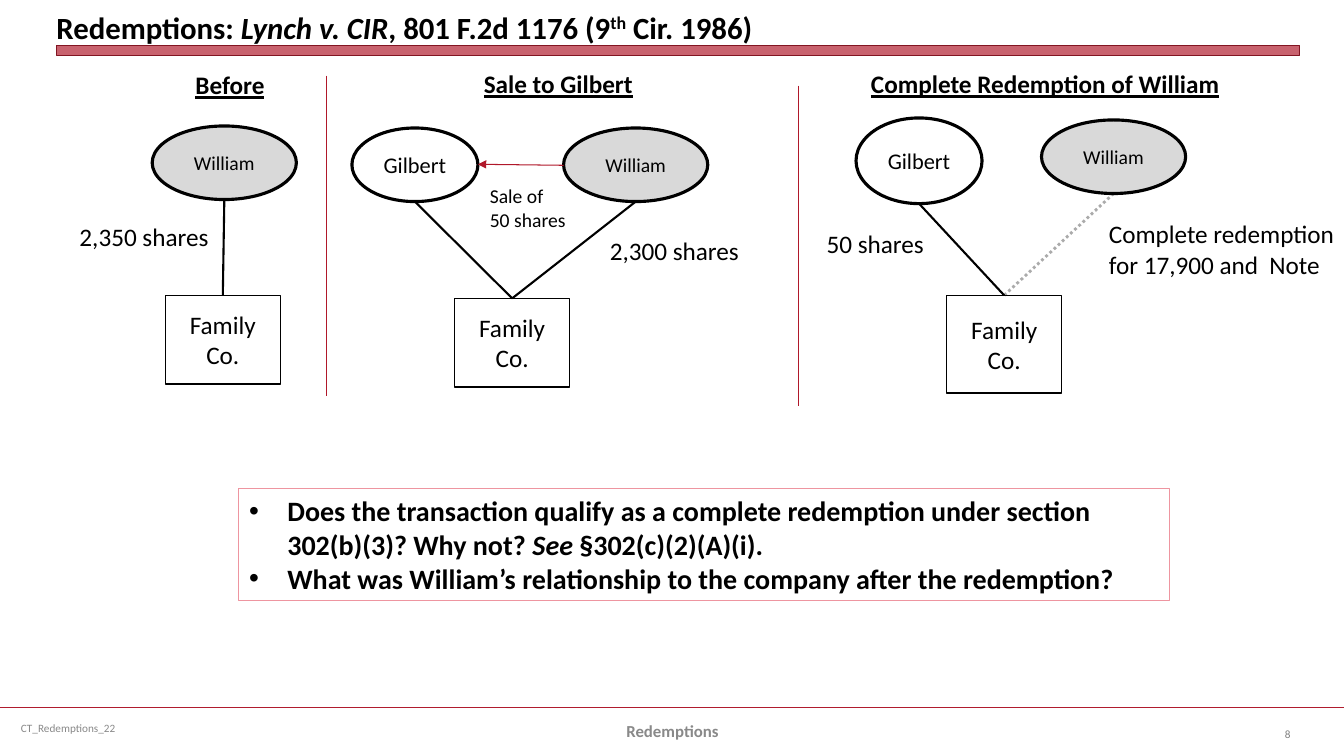
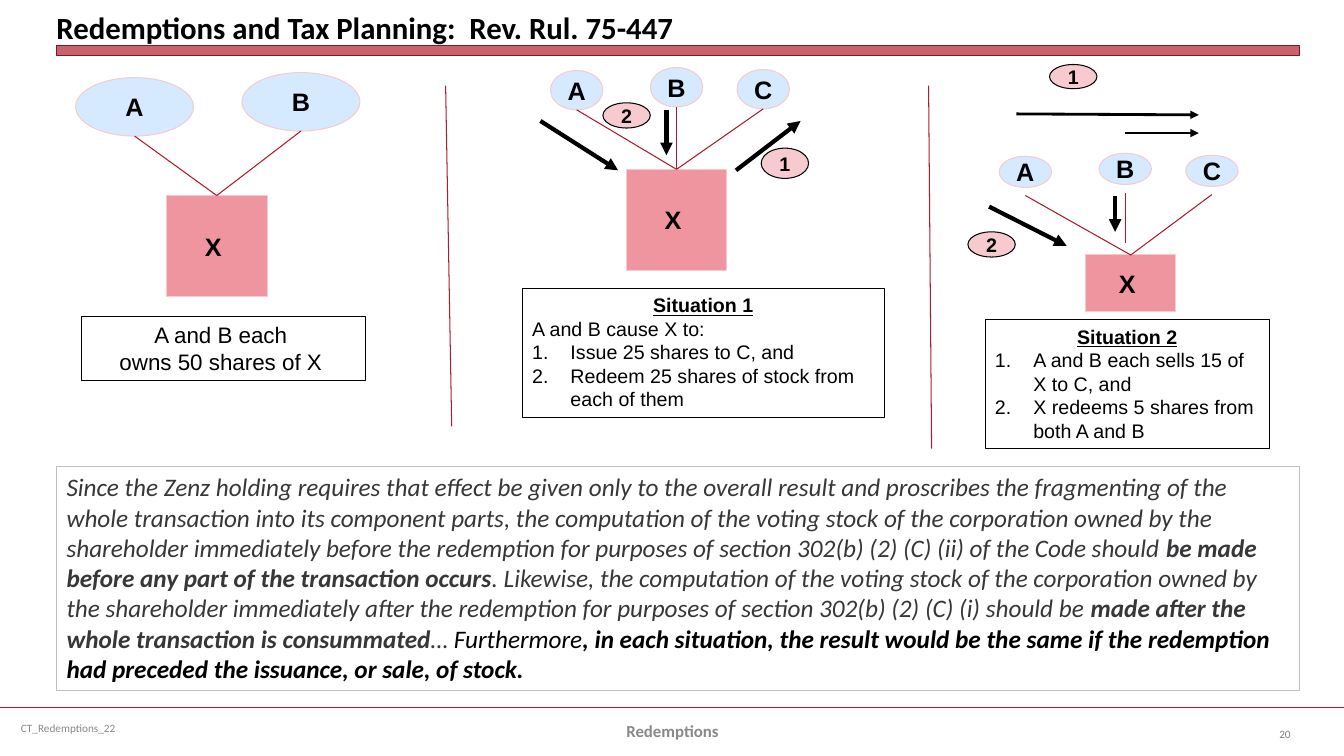
from dataclasses import dataclass

from lxml import etree
from pptx import Presentation
from pptx import util as u
from pptx.dml.color import RGBColor
from pptx.enum import dml, shapes, text
from pptx.oxml import ns

BLACK, GREY, RED, CRIMSON = "000000", "898989", "B0182A", "B01C2E"
ROSE, PINK, SKY, SILVER = "EE95A0", "F7CAD0", "D6EAFF", "D9D9D9"
LEFT, CENTER, RIGHT = text.PP_ALIGN.LEFT, text.PP_ALIGN.CENTER, text.PP_ALIGN.RIGHT
TOP, MIDDLE, BOTTOM = text.MSO_ANCHOR.TOP, text.MSO_ANCHOR.MIDDLE, text.MSO_ANCHOR.BOTTOM
RECT, OVAL = shapes.MSO_SHAPE.RECTANGLE, shapes.MSO_SHAPE.OVAL
BOLD, ITALIC = {"bold": True}, {"italic": True}


def rgb(value):
    """Turn a hex string into a colour."""
    return RGBColor.from_string(value)


def child(parent, tag, **attributes):
    """Append a drawing element."""
    return etree.SubElement(parent, ns.qn(tag), **attributes)


def fade(item, percent):
    """Make the first colour of a shape or line partly transparent."""
    color = next(item._element.spPr.iter(ns.qn("a:srgbClr")))
    child(color, "a:alpha", val=str(percent * 1000))


def place(box, at):
    """Move and size a box, in inches."""
    box.left, box.top, box.width, box.height = map(u.Inches, at)


def bottom(box, gap=0):
    """Return the point below the middle of a box, in inches."""
    x = u.Length(box.left + box.width // 2).inches
    return x, u.Length(box.top + box.height).inches + gap


@dataclass
class Para:
    """A paragraph: plain words, or (words, style) spans."""
    spans: object
    align: object = LEFT
    mark: str = ""
    bold: bool = False
    italic: bool = False
    underline: bool = False


class Deck:
    """Holds the house style and the current page."""

    def __init__(self):
        """Start an empty wide deck."""
        self.show = Presentation()
        self.show.slide_width = u.Inches(13.33)
        self.show.slide_height = u.Inches(7.5)
        self.page = None

    def start(self, title, number):
        """Add a page with its title, bar and footer."""
        self.page = self.show.slides.add_slide(self.show.slide_layouts[1])
        self.line((0, 7.02), (13.33, 7.02), CRIMSON, 1.25)
        bar = self.shape(RECT, (0.56, 0.45, 12.33, 0.1), CRIMSON, "821522", 0)
        fade(bar, 69)
        heading = self.page.shapes.title
        place(heading, (0.56, 0.05, 12.33, 0.4))
        frame = heading.text_frame
        frame.margin_left = frame.margin_right = frame.margin_top = frame.margin_bottom = 0
        self.typeset(frame, [Para(title, bold=True)], 22, anchor=BOTTOM)
        self.label((0.11, 7.02, 3.44, 0.4), ["CT_Redemptions_22"], 8, GREY, MIDDLE, True)
        self.label((4.56, 7.05, 4.22, 0.4), [Para("Redemptions", CENTER, bold=True)],
                   12, GREY, MIDDLE, True)
        self.label((12.23, 7.08, 0.67, 0.4), [Para(number, RIGHT)], 8, "808080", MIDDLE, True)

    def typeset(self, frame, paras, size, font="Calibri", color=BLACK, anchor=TOP, wrap=True):
        """Fill a text frame with paragraphs."""
        frame.word_wrap = wrap
        frame.auto_size = text.MSO_AUTO_SIZE.NONE
        frame.vertical_anchor = anchor
        for index, item in enumerate(paras):
            item = Para(item) if isinstance(item, str) else item
            para = frame.add_paragraph() if index else frame.paragraphs[0]
            self.mark(para, item.mark)
            para.alignment = item.align
            para.space_before = u.Pt(0)
            para.font.name, para.font.size = font, u.Pt(size)
            para.font.color.rgb = rgb(color)
            para.font.bold, para.font.italic = item.bold, item.italic
            para.font.underline = item.underline
            spans = [(item.spans, {})] if isinstance(item.spans, str) else item.spans
            for words, style in spans:
                self.span(para, words, **style)

    def mark(self, para, mark):
        """Give a paragraph a bullet, a number or neither."""
        props = para._p.get_or_add_pPr()
        hang = u.Inches(0.38) if mark else 0
        props.set("marL", str(hang))
        props.set("indent", str(-hang))
        if mark == "1.":
            child(props, "a:buFont", typeface="+mj-lt")
            child(props, "a:buAutoNum", type="arabicPeriod")
        elif mark:
            child(props, "a:buFont", typeface="Arial")
            child(props, "a:buChar", char=mark)
        else:
            child(props, "a:buNone")

    def span(self, para, words, color=None, raised=False, **style):
        """Add a run that differs from its paragraph only by style."""
        span = para.add_run()
        span.text = words
        for name, value in style.items():
            setattr(span.font, name, value)
        if color:
            span.font.color.rgb = rgb(color)
        if raised:
            span._r.get_or_add_rPr().set("baseline", "30000")

    def label(self, at, paras, size=18, color=BLACK, anchor=TOP, wrap=False):
        """Add free text."""
        box = self.page.shapes.add_textbox(*map(u.Inches, at))
        self.typeset(box.text_frame, paras, size, color=color, anchor=anchor, wrap=wrap)

    def heading(self, at, words):
        """Add an underlined heading above a diagram."""
        self.label(at, [Para(words, bold=True, underline=True)])

    def body(self, at, paras, size, line, color=BLACK):
        """Fill the framed body placeholder."""
        box = self.page.placeholders[1]
        place(box, at)
        box.line.color.rgb = rgb(line)
        box.line.width = u.Pt(0.75)
        self.typeset(box.text_frame, paras, size, color=color)

    def shape(self, kind, at, fill=None, line=BLACK, width=0.75):
        """Add a preset shape."""
        box = self.page.shapes.add_shape(kind, *map(u.Inches, at))
        box.shadow.inherit = False
        if fill:
            box.fill.solid()
            box.fill.fore_color.rgb = rgb(fill)
        else:
            box.fill.background()
        box.line.color.rgb = rgb(line)
        box.line.width = u.Pt(width)
        return box

    def note(self, at, paras, size):
        """Add a framed note."""
        box = self.shape(RECT, at)
        self.typeset(box.text_frame, paras, size, "Arial")

    def person(self, name, at, fill=None, size=14):
        """Add a named shareholder."""
        box = self.shape(OVAL, at, fill, width=2.25)
        self.typeset(box.text_frame, [Para(name, CENTER)], size, anchor=MIDDLE, wrap=False)
        return box

    def company(self, at):
        """Add the family company."""
        box = self.shape(RECT, at, width=1)
        self.typeset(box.text_frame, [Para("Family Co.", CENTER)], 18, anchor=MIDDLE)
        return box

    def letter(self, kind, name, at, fill, line=PINK, size=18):
        """Add a shape with a bold letter or digit."""
        box = self.shape(kind, at, fill, line)
        self.typeset(box.text_frame, [Para(name, CENTER, bold=True)], size, "Arial",
                     anchor=MIDDLE, wrap=False)
        return box

    def holder(self, name, at):
        """Add a lettered shareholder."""
        return self.letter(OVAL, name, at, SKY)

    def issuer(self, at):
        """Add corporation X."""
        return self.letter(RECT, "X ", at, ROSE)

    def step(self, name, at):
        """Add a step number."""
        self.letter(OVAL, name, at, PINK, BLACK, 14)

    def line(self, start, end, color=RED, width=0.75, arrow=False):
        """Add a straight line or arrow."""
        points = map(u.Inches, (*start, *end))
        line = self.page.shapes.add_connector(shapes.MSO_CONNECTOR.STRAIGHT, *points)
        line.line.color.rgb = rgb(color)
        line.line.width = u.Pt(width)
        if arrow:
            child(line.line._get_or_add_ln(), "a:tailEnd", type="triangle")
        child(line._element.spPr, "a:effectLst")
        return line

    def link(self, owner, company, color=RED, width=0.75, gap=0):
        """Join the foot of an owner to the top of its company."""
        line = self.line(bottom(owner, gap), bottom(owner, gap), color, width)
        line.end_connect(company, 0)
        return line


def lynch_page(deck):
    """Build the three stages of the family redemption."""
    deck.start([("Redemptions: ", {}), ("Lynch v. CIR", ITALIC), (", 801 F.2d 1176 (9", {}),
                ("th", {"raised": True}), (" Cir. 1986)", {})], "8")
    deck.heading((1.84, 0.64, 0.89, 0.4), "Before")
    deck.heading((4.7, 0.63, 1.69, 0.4), "Sale to Gilbert")
    deck.heading((8.54, 0.63, 3.69, 0.4), "Complete Redemption of William")
    deck.line((3.24, 0.75), (3.24, 3.93))
    deck.line((7.92, 0.85), (7.92, 4.03))

    before, sale, after = [deck.company(at) for at in (
        (1.64, 2.93, 1.14, 0.88), (4.51, 2.96, 1.14, 0.88), (9.39, 2.93, 1.14, 0.97))]
    first, seller, leaver = [deck.person("William", (x, y, 1.43, 0.73), SILVER)
                             for x, y in ((1.51, 1.25), (5.59, 1.27), (10.33, 1.19))]
    buyer, keeper = [deck.person("Gilbert", (x, y, 1.25, height), size=16)
                     for x, y, height in ((3.49, 1.27, 0.73), (8.49, 1.17, 0.85))]
    for owner, company in ((first, before), (buyer, sale), (seller, sale), (keeper, after)):
        deck.link(owner, company, BLACK, 1.5)
    redeemed = deck.link(leaver, after, BLACK, 2)
    redeemed.line.dash_style = dml.MSO_LINE.ROUND_DOT
    fade(redeemed, 33)
    deck.line((5.59, 1.64), (4.74, 1.63), arrow=True)

    deck.label((0.69, 2.15, 1.5, 0.4), ["2,350 shares"])
    deck.label((4.76, 1.78, 0.96, 0.57), ["Sale of", "50 shares"], 14)
    deck.label((5.95, 2.29, 1.5, 0.4), ["2,300 shares"])
    deck.label((8.1, 2.22, 1.18, 0.4), ["50 shares"])
    deck.label((10.9, 2.12, 2.43, 0.71), ["Complete redemption", "for 17,900 and  Note"])
    deck.body((2.37, 4.85, 9.23, 1.11), [
        Para([("Does the transaction qualify as a complete redemption under section "
               "302(b)(3)? Why not? ", {}), ("See ", ITALIC), ("§302(c)(2)(A)(i).", {})],
             mark="•", bold=True),
        Para("What was William’s relationship to the company after the redemption?",
             mark="•", bold=True)], 20, ROSE)


def ruling_page(deck):
    """Build the two situations of the ruling."""
    deck.start("Redemptions and Tax Planning:  Rev. Rul. 75-447", "20")
    deck.line((4.42, 0.85), (4.48, 4.23), CRIMSON)
    deck.line((9.21, 0.85), (9.24, 4.45), CRIMSON)

    groups = (
        ((1.65, 1.94, 1, 1), (1.17, 0.58), ((0.75, 0.77), (2.4, 0.72)), 0),
        ((6.21, 1.68, 1, 1), (0.52, 0.39), ((5.46, 0.7), (6.45, 0.67), (7.31, 0.69)), 0),
        ((10.77, 2.53, 0.89, 0.56), (0.52, 0.31),
         ((9.91, 1.55), (10.9, 1.52), (11.76, 1.54)), 0.08))
    for at, size, spots, gap in groups:
        issuer = deck.issuer(at)
        for name, spot in zip("ABC", spots):
            holder = deck.holder(name, spot + size)
            if gap and name == "B":
                deck.line(bottom(holder, gap), (11.16, 2.41))
            else:
                deck.link(holder, issuer, gap=gap)

    for start, end, width in (
            ((7.3, 1.69), (7.94, 1.2), 3), ((5.36, 1.2), (6.13, 1.69), 3),
            ((6.61, 1.09), (6.61, 1.54), 3), ((9.81, 2.05), (10.58, 2.44), 3),
            ((11.06, 1.94), (11.06, 2.3), 3), ((10.08, 1.13), (11.89, 1.14), 2),
            ((11.16, 1.32), (11.89, 1.32), 2)):
        deck.line(start, end, BLACK, width, True)
    for name, x, y, height in (("2", 5.98, 1.02, 0.25), ("1", 7.55, 1.47, 0.3),
                               ("1", 10.41, 0.64, 0.24), ("2", 9.6, 2.3, 0.25)):
        deck.step(name, (x, y, 0.47, height))

    deck.note((0.81, 3.14, 2.82, 0.64),
              [Para("A and B each ", CENTER), Para("owns 50 shares of X ", CENTER)], 16)
    deck.note((5.18, 2.86, 3.59, 1.28), [
        Para("Situation 1", CENTER, bold=True, underline=True),
        "A and B cause X to:",
        Para("Issue 25 shares to C, and", mark="1."),
        Para("Redeem 25 shares of stock from each of them", mark="1.")], 14)
    deck.note((9.77, 3.17, 2.82, 1.28), [
        Para("Situation 2", CENTER, bold=True, underline=True),
        Para("A and B each sells 15 of X to C, and", mark="1."),
        Para("X redeems 5 shares from both A and B", mark="1.")], 14)
    deck.body((0.56, 4.63, 12.33, 2.22), [Para([
        ("Since the Zenz holding requires that effect be given only to the overall result and "
         "proscribes the fragmenting of the whole transaction into its component parts, the "
         "computation of the voting stock of the corporation owned by the shareholder "
         "immediately before the redemption for purposes of section 302(b) (2) (C) (ii) of "
         "the Code should ", {}),
        ("be made before any part of the transaction occurs", BOLD),
        (". Likewise, the computation of the voting stock of the corporation owned by the "
         "shareholder immediately after the redemption for purposes of section 302(b) (2) "
         "(C) (i) should be ", {}),
        ("made after the whole transaction is consummated", BOLD),
        ("…", {}),
        (" Furthermore", {"color": BLACK}),
        (", in each situation, the result would be the same if the redemption had preceded "
         "the issuance, or sale, of stock.", {"color": BLACK, "bold": True})],
        italic=True)], 18, "C0C0C0", "373739")


def main():
    """Build and save the deck."""
    deck = Deck()
    lynch_page(deck)
    ruling_page(deck)
    deck.show.save("out.pptx")


if __name__ == "__main__":
    main()
